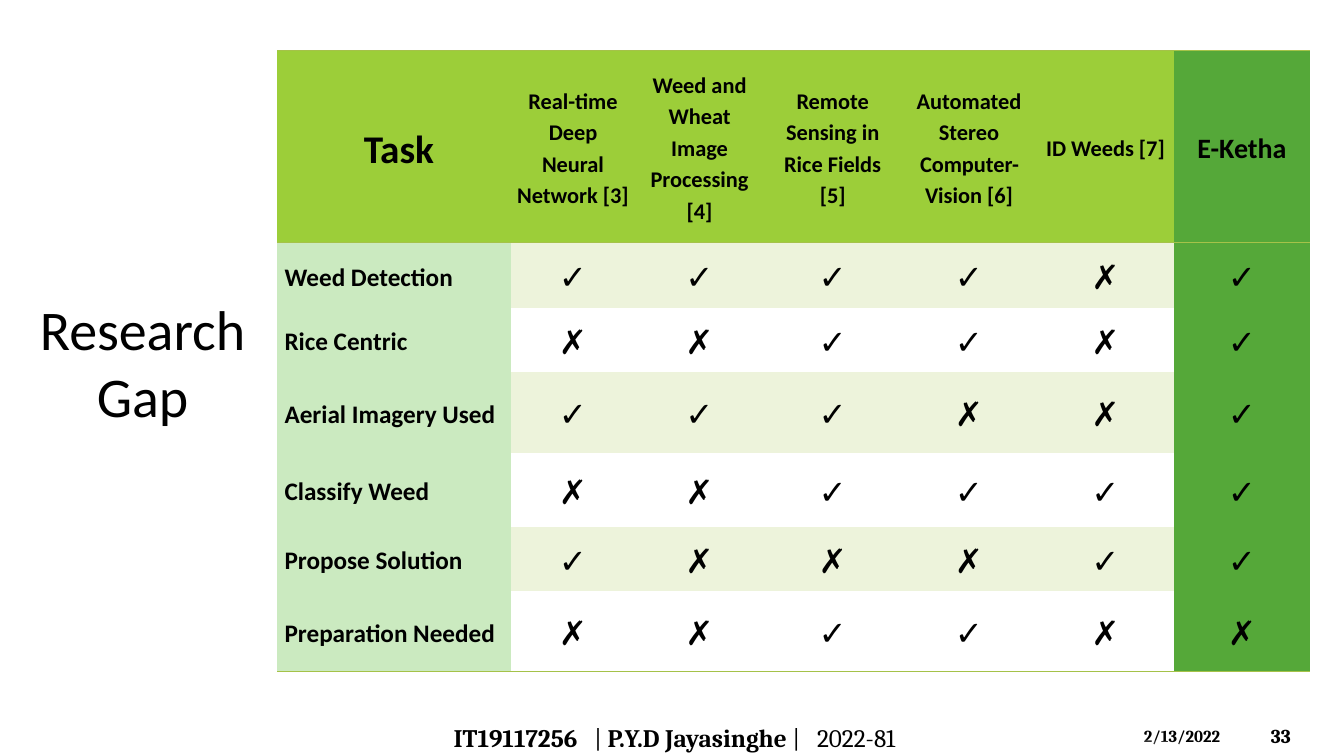
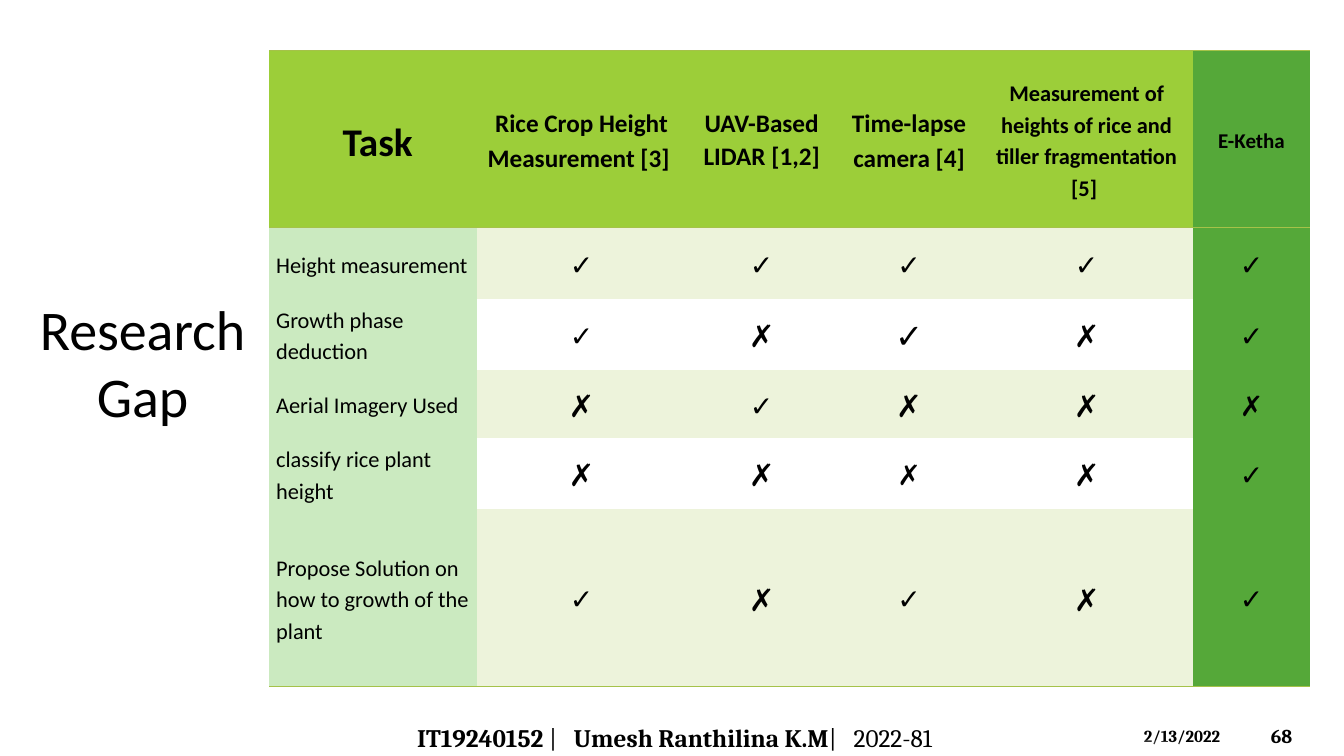
"""Build two research-gap comparison slides."""
from dataclasses import dataclass, field

import pptx
import pptx.dml.color
import pptx.enum.shapes
import pptx.enum.text
import pptx.oxml
import pptx.oxml.ns
import pptx.util
from pptx.util import Cm

ALIGN = pptx.enum.text.PP_ALIGN
ANCHOR = pptx.enum.text.MSO_ANCHOR
BLACK, WHITE, LIME, GREEN = "000000", "FFFFFF", "9CCE39", "55A839"
MINT, BAND, RULE = "CBEAC0", "EDF3DB", "A5C249"
BODY_FONT, FOOTER_FONT = "Calibri", "Cambria"
PLAIN_STYLE = "{2D5ABB26-0587-4C30-8999-92F81FD0307C}"
SLIDE_WIDTH, SLIDE_HEIGHT = 33.87, 19.05
GAP_SPACING = 800
DATE = "2/13/2022"


@dataclass(frozen=True)
class Piece:
    text: str
    bold: bool = False
    spacing: int = 0


GAP = Piece(" ", spacing=GAP_SPACING)


@dataclass(frozen=True)
class FooterBand:
    height: float
    peak: float


BANDS = [FooterBand(1.04, 0.63), FooterBand(0.51, 0.39)]


@dataclass(frozen=True)
class Header:
    text: str
    size: float
    width: float
    line_spacing: float = 1.15


@dataclass(frozen=True)
class Row:
    label: str
    marks: str
    height: float


@dataclass(frozen=True)
class GapSlide:
    number: int
    footer: list[Piece]
    left: float
    header_height: float
    headers: list[Header]
    rows: list[Row]
    label_size: float
    bold: bool
    mark_sizes: dict[str, float]
    special_sizes: dict[tuple[int, int], float] = field(default_factory=dict)


SLIDES = [
    GapSlide(
        number=33,
        footer=[Piece("IT19117256", True), GAP, Piece("| "),
                Piece("P.Y.D Jayasinghe ", True), Piece("|"), GAP, Piece("2022-81")],
        left=6.99,
        header_height=4.85,
        headers=[
            Header(" Task", 28, 5.9),
            Header("Real-time Deep Neural Network [3]", 16, 3.1),
            Header("Weed and Wheat Image Processing [4]", 16, 3.28),
            Header("Remote Sensing in Rice Fields [5]", 16, 3.43),
            Header("Automated Stereo Computer-Vision [6]", 16, 3.44),
            Header("ID Weeds [7]", 16, 3.44),
            Header("E-Ketha", 20, 3.44),
        ],
        rows=[
            Row("Weed Detection", "✓✓✓✓✗✓", 1.64),
            Row("Rice Centric", "✗✗✓✓✗✓", 1.61),
            Row("Aerial Imagery Used", "✓✓✓✗✗✓", 2.04),
            Row("Classify Weed", "✗✗✓✓✓✓", 1.87),
            Row("Propose Solution", "✓✗✗✗✓✓", 1.61),
            Row("Preparation Needed", "✗✗✓✓✗✗", 2.04),
        ],
        label_size=18,
        bold=True,
        mark_sizes={"✓": 24, "✗": 24},
    ),
    GapSlide(
        number=68,
        footer=[Piece("IT19240152", True), Piece(" |"), GAP,
                Piece("Umesh Ranthilina K.M", True), Piece("|"), GAP, Piece("2022-81")],
        left=6.78,
        header_height=4.47,
        headers=[
            Header(" Task", 28, 5.25),
            Header("Rice Crop Height Measurement [3] ", 18, 5.25),
            Header("UAV-Based LIDAR [1,2]", 18, 3.83, 1.07),
            Header("Time-lapse camera [4]", 18, 3.6),
            Header("Measurement of heights of rice and tiller fragmentation [5] ", 16, 5.35),
            Header("E-Ketha", 15, 2.96),
        ],
        rows=[
            Row("Height measurement", "✓✓✓✓✓", 1.79),
            Row("Growth phase deduction", "✓✗✓✗✓", 1.79),
            Row("Aerial Imagery Used", "✗✓✗✗✗", 1.72),
            Row("classify rice plant height", "✗✗✗✗✓", 1.79),
            Row("Propose Solution on how to growth of the plant", "✓✗✓✗✓", 4.47),
        ],
        label_size=16,
        bold=False,
        mark_sizes={"✓": 20, "✗": 22},
        special_sizes={(2, 3): 24, (3, 5): 20, (4, 3): 20},
    ),
]


def rgb(value: str) -> pptx.dml.color.RGBColor:
    """Turn a hex string into a colour."""
    return pptx.dml.color.RGBColor.from_string(value)


def style_run(r, size: float, name: str, bold: bool) -> None:
    """Set the font of a run."""
    r.font.size = pptx.util.Pt(size)
    r.font.name = name
    r.font.bold = bold
    r.font.color.rgb = rgb(BLACK)


def add_text(s, box: tuple[float, float, float, float], pieces: list[Piece], size: float,
             name: str, align=ALIGN.LEFT, anchor=ANCHOR.MIDDLE):
    """Add a one-paragraph text box and return its frame."""
    sp = s.shapes.add_textbox(*(Cm(v) for v in box))
    tf = sp.text_frame
    tf.word_wrap = True
    tf.vertical_anchor = anchor
    p = tf.paragraphs[0]
    p.alignment = align
    for piece in pieces:
        r = p.add_run()
        r.text = piece.text
        style_run(r, size, name, piece.bold)
        if piece.spacing:
            r.font._element.set("spc", str(piece.spacing))
    return tf


def add_rule(cell, side: str) -> None:
    """Draw a thin green border on the given side of a cell."""
    cell._tc.get_or_add_tcPr().append(pptx.oxml.parse_xml(
        f'<a:{side} {pptx.oxml.ns.nsdecls("a")} w="12700"><a:solidFill>'
        f'<a:srgbClr val="{RULE}"/></a:solidFill></a:{side}>'))


def fill_cell(cell, text: str, size: float, bold: bool, fill: str | None, margin: float,
              rules: tuple[str, ...], align=ALIGN.CENTER, line_spacing: float = 1.15) -> None:
    """Write and style one table cell."""
    cell.margin_left = cell.margin_right = Cm(margin)
    cell.margin_top = cell.margin_bottom = 0
    cell.vertical_anchor = ANCHOR.MIDDLE
    for side in rules:
        add_rule(cell, side)
    if fill:
        cell.fill.solid()
        cell.fill.fore_color.rgb = rgb(fill)
    else:
        cell.fill.background()
    p = cell.text_frame.paragraphs[0]
    p.text = text
    p.alignment = align
    p.line_spacing = line_spacing
    p.space_after = pptx.util.Pt(8)
    style_run(p.runs[0], size, BODY_FONT, bold)


def add_gap_table(s, data: GapSlide) -> None:
    """Add the comparison table."""
    widths = [h.width for h in data.headers]
    heights = [data.header_height] + [row.height for row in data.rows]
    frame = s.shapes.add_table(len(heights), len(widths), Cm(data.left), Cm(1.27),
                               Cm(sum(widths)), Cm(sum(heights)))
    table = frame.table
    table.first_row = table.horz_banding = False
    for style in frame.element.iter(pptx.oxml.ns.qn("a:tableStyleId")):
        style.text = PLAIN_STYLE
    for column, width in zip(table.columns, widths):
        column.width = Cm(width)
    for table_row, height in zip(table.rows, heights):
        table_row.height = Cm(height)

    last = len(widths) - 1
    for c, header in enumerate(data.headers):
        fill_cell(table.cell(0, c), header.text, header.size, True,
                  GREEN if c == last else LIME, 0.13, ("lnT", "lnB"),
                  line_spacing=header.line_spacing)
    for i, row in enumerate(data.rows, 1):
        rules = ("lnB",) if i == len(data.rows) else ()
        fill_cell(table.cell(i, 0), row.label, data.label_size, data.bold, MINT,
                  0.18, rules, ALIGN.LEFT)
        for c, mark in enumerate(row.marks, 1):
            size = data.special_sizes.get((i, c), data.mark_sizes[mark])
            fill = GREEN if c == last else BAND if i % 2 else None
            fill_cell(table.cell(i, c), mark, size, data.bold and c == last, fill,
                      0.18, rules)


def add_bands(s) -> None:
    """Add the translucent triangles along the bottom edge."""
    for band in BANDS:
        sp = s.shapes.add_shape(pptx.enum.shapes.MSO_SHAPE.ISOSCELES_TRIANGLE, 0,
                                Cm(SLIDE_HEIGHT - band.height), Cm(SLIDE_WIDTH),
                                Cm(band.height))
        sp.adjustments[0] = band.peak
        sp.shadow.inherit = False
        sp.line.fill.background()
        sp.fill.solid()
        sp.fill.fore_color.rgb = rgb(WHITE)
        for color in sp.element.spPr.iter(pptx.oxml.ns.qn("a:srgbClr")):
            color.append(pptx.oxml.parse_xml(
                f'<a:alpha {pptx.oxml.ns.nsdecls("a")} val="20000"/>'))


def add_footer(s, data: GapSlide) -> None:
    """Add the page number, date, bands and author line."""
    add_text(s, (31.78, 18.03, 1.88, 1.02), [Piece(str(data.number), True)], 14, FOOTER_FONT)
    add_text(s, (28.58, 18.16, 2.97, 0.76), [Piece(DATE, True)], 12, FOOTER_FONT,
             anchor=ANCHOR.TOP)
    add_bands(s)
    tf = add_text(s, (0.15, 18.14, 33.7, 0.86), data.footer, 18, FOOTER_FONT,
                  ALIGN.CENTER, ANCHOR.TOP)
    tf.margin_top = Cm(0.05)
    tf.margin_bottom = 0


def main() -> None:
    """Build and save the presentation."""
    prs = pptx.Presentation()
    prs.slide_width, prs.slide_height = Cm(SLIDE_WIDTH), Cm(SLIDE_HEIGHT)
    for data in SLIDES:
        s = prs.slides.add_slide(prs.slide_layouts[6])
        add_footer(s, data)
        add_gap_table(s, data)
        add_text(s, (0.42, 5.94, 6.35, 6.35), [Piece("Research Gap")], 40, BODY_FONT,
                 ALIGN.CENTER)
    prs.save("out.pptx")


if __name__ == "__main__":
    main()
